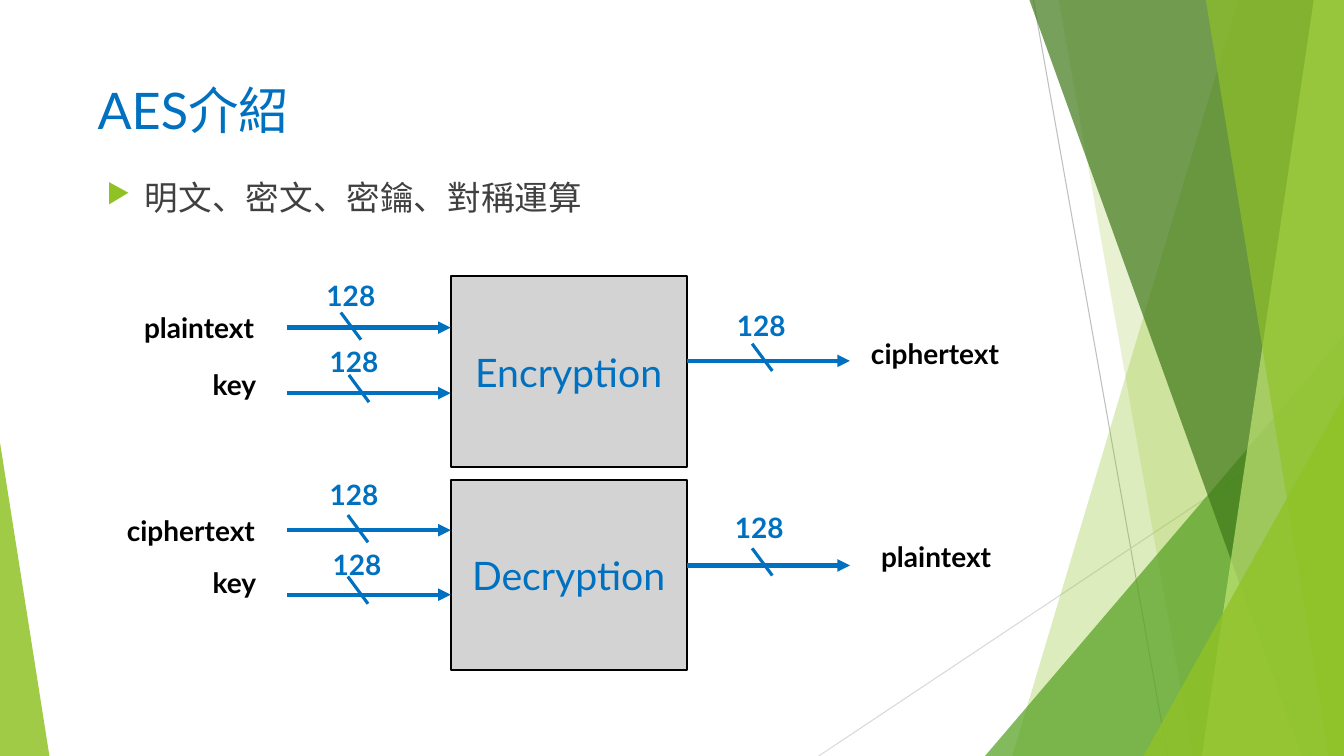
from lxml.etree import SubElement
from pptx import Presentation
from pptx.dml.color import RGBColor
from pptx.enum.shapes import MSO_CONNECTOR, MSO_SHAPE
from pptx.enum.text import MSO_ANCHOR, PP_ALIGN
from pptx.oxml.ns import qn
from pptx.util import Inches, Pt

FONT = "Lato"
BLUE = "0070C0"
BLACK = "000000"
GREEN = "90C226"
WIDTH, HEIGHT = 13.33, 7.5
WIRE_LENGTH = 1.62


def rgb(color):
    """Turn a hex string into a colour."""
    return RGBColor.from_string(color)


def fill(sp, color, alpha=100):
    """Fill a shape, without shadow, at the given opacity in percent."""
    sp.shadow.inherit = False
    sp.fill.solid()
    sp.fill.fore_color.rgb = rgb(color)
    if alpha < 100:
        clr = sp.fill._xPr.find(qn("a:solidFill"))[0]
        SubElement(clr, qn("a:alpha"), val=str(alpha * 1000))


def add_line(shapes, start, end, color, width, arrow=False):
    """Draw a straight line, with an arrowhead at its end if wanted."""
    line = shapes.add_connector(MSO_CONNECTOR.STRAIGHT, *map(Inches, start + end))
    line.line.color.rgb = rgb(color)
    line.line.width = Pt(width)
    if arrow:
        SubElement(line.line._get_or_add_ln(), qn("a:tailEnd"), type="triangle")
    SubElement(line._element.spPr, qn("a:effectLst"))


def set_text(tf, text, size, color, bold=False):
    """Write one formatted paragraph and return it."""
    tf.text = text
    p = tf.paragraphs[0]
    font = p.runs[0].font
    font.name, font.size, font.bold = FONT, Pt(size), bold
    font.color.rgb = rgb(color)
    return p


def add_text(shapes, box, text, size, color, bold=False, wrap=True):
    """Add a text box and return its paragraph."""
    tf = shapes.add_textbox(*map(Inches, box)).text_frame
    tf.word_wrap = wrap
    return set_text(tf, text, size, color, bold)


def add_facet(shapes, points, color, alpha):
    """Draw a translucent polygon."""
    builder = shapes.build_freeform(*map(Inches, points[0]), scale=1.0)
    builder.add_line_segments([tuple(map(Inches, pt)) for pt in points[1:]])
    sp = builder.convert_to_shape()
    fill(sp, color, alpha)
    sp.line.fill.background()


def add_corner(shapes, box, apex, color, alpha):
    """Draw a translucent triangle with its apex at the given fraction."""
    sp = shapes.add_shape(MSO_SHAPE.ISOSCELES_TRIANGLE, *map(Inches, box))
    sp.adjustments[0] = apex
    fill(sp, color, alpha)
    sp.line.fill.background()


def add_backdrop(shapes, width, height):
    """Draw the green facets at both edges of the slide."""
    def band(top_x, bottom_x, color, alpha):
        add_facet(shapes, [(top_x, 0), (width, 0), (width, height), (bottom_x, height)],
                  color, alpha)

    def right_corner(w, h, color, alpha):
        add_corner(shapes, (width - w, height - h, w, h), 1, color, alpha)

    add_line(shapes, (10.25, 0), (11.58, height), "BFBFBF", 0.75)
    add_line(shapes, (width, 4.03), (8.12, height), "D9D9D9", 0.75)
    band(12.28, 10.04, GREEN, 30)
    band(10.5, 11.83, GREEN, 20)
    right_corner(3.56, 4.17, "54A021", 72)
    band(10.21, 12.91, "3F7819", 70)
    band(13.03, 11.92, "C0E474", 70)
    band(11.96, 13.18, GREEN, 65)
    right_corner(1.99, 3.57, GREEN, 80)
    add_corner(shapes, (0, height - 3.11, 0.49, 3.11), 0, GREEN, 85)


def add_heading(shapes, left, top):
    """Write the title and the bullet below it."""
    add_text(shapes, (left, top, 9.4, 0.9), "AES介紹", 36, BLUE)
    p = add_text(shapes, (left + 0.09, top + 0.97, 9.4, 0.6),
                 "明文、密文、密鑰、對稱運算", 24, "404040")
    p.space_before = Pt(10)
    pPr = p._p.get_or_add_pPr()
    pPr.set("marL", str(Inches(0.38)))
    pPr.set("indent", str(-Inches(0.38)))
    SubElement(SubElement(pPr, qn("a:buClr")), qn("a:srgbClr"), val=GREEN)
    SubElement(pPr, qn("a:buSzPct"), val="80000")
    SubElement(pPr, qn("a:buChar"), char="▶")


def add_wire(shapes, x, y, name, name_box, bits_at, slash_at):
    """Draw an arrow from (x, y) with its name, bit width and slash."""
    add_line(shapes, (x, y), (x + WIRE_LENGTH, y), BLUE, 3, arrow=True)
    sx, sy = x + slash_at[0], y + slash_at[1]
    add_line(shapes, (sx, sy), (sx + 0.2, sy + 0.27), BLUE, 2.25)
    dx, dy, w = name_box
    add_text(shapes, (x + dx, y + dy, w, 0.44), name, 20, BLACK, True, False)
    add_text(shapes, (x + bits_at[0], y + bits_at[1], 0.7, 0.44), "128", 20, BLUE, True, False)


def add_cipher(shapes, left, top, name, wires):
    """Draw a cipher block with two input wires and one output wire."""
    width, height = 2.34, 1.89
    sp = shapes.add_shape(MSO_SHAPE.RECTANGLE, *map(Inches, (left, top, width, height)))
    fill(sp, "D3D3D3")
    sp.line.color.rgb = rgb(BLACK)
    sp.line.width = Pt(1.5)
    tf = sp.text_frame
    tf.vertical_anchor = MSO_ANCHOR.MIDDLE
    set_text(tf, name, 28, BLUE).alignment = PP_ALIGN.CENTER
    starts = (left - WIRE_LENGTH, left - WIRE_LENGTH, left + width)
    for x, (dy, *labels) in zip(starts, wires):
        add_wire(shapes, x, top + dy, *labels)


def main():
    """Build the slide and save it."""
    prs = Presentation()
    prs.slide_width, prs.slide_height = Inches(WIDTH), Inches(HEIGHT)
    shapes = prs.slides.add_slide(prs.slide_layouts[6]).shapes
    add_backdrop(shapes, WIDTH, HEIGHT)
    add_heading(shapes, 0.87, 0.74)
    add_cipher(shapes, 4.47, 2.74, "Encryption", [
        (0.51, "plaintext", (-1.52, -0.22, 1.38), (0.29, -0.54), (0.53, -0.15)),
        (1.16, "key", (-0.84, -0.3, 0.67), (0.32, -0.53), (0.61, -0.18)),
        (0.84, "ciphertext", (1.73, -0.29, 1.58), (0.4, -0.57), (0.65, -0.17)),
    ])
    add_cipher(shapes, 4.47, 4.76, "Decryption", [
        (0.5, "ciphertext", (-1.69, -0.21, 1.58), (0.32, -0.57), (0.6, -0.15)),
        (1.14, "key", (-0.84, -0.34, 0.67), (0.35, -0.52), (0.6, -0.18)),
        (0.85, "plaintext", (1.83, -0.31, 1.38), (0.38, -0.59), (0.65, -0.17)),
    ])
    prs.save("out.pptx")


if __name__ == "__main__":
    main()
